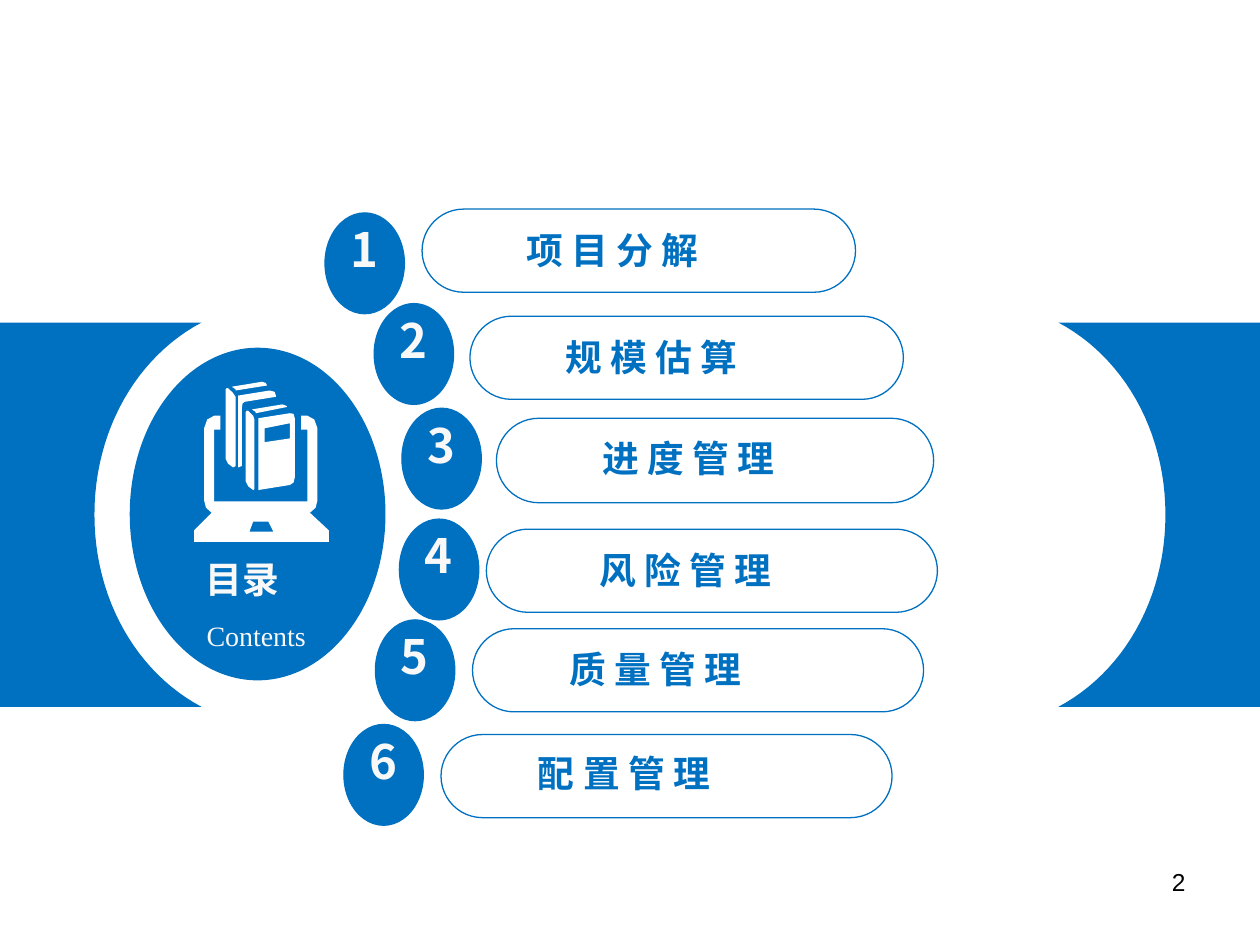
from dataclasses import dataclass

from lxml.etree import SubElement
from pptx import Presentation
from pptx.dml.color import RGBColor
from pptx.enum.shapes import MSO_SHAPE as Kind
from pptx.enum.text import MSO_ANCHOR as Anchor, MSO_AUTO_SIZE as Fit, PP_ALIGN as Align
from pptx.oxml.ns import qn
from pptx.util import Emu, Pt

BLUE = RGBColor(0x00, 0x70, 0xC0)
PALE = RGBColor(0xF8, 0xF8, 0xF8)
WHITE = RGBColor(0xFF, 0xFF, 0xFF)
BLACK = RGBColor(0x00, 0x00, 0x00)
HAN = "Noto Sans CJK SC"
COLS, ROWS = 1000, 750
CELL = 9144
STEPS = 24


@dataclass
class Box:
    left: float
    top: float
    width: float
    height: float

    def emus(self) -> list[Emu]:
        return [Emu(round(v * CELL)) for v in (self.left, self.top, self.width, self.height)]


@dataclass
class Item:
    text: str
    dot: tuple[float, float]
    pill: Box
    word: tuple[float, float]


ITEMS = [
    Item("项 目 分 解", (258, 169), Box(335, 166, 344, 66), (409, 177)),
    Item("规 模 估 算", (297, 241), Box(373, 251, 344, 66), (440, 262)),
    Item("进 度 管 理", (319, 324), Box(394, 332, 347, 67), (469, 342)),
    Item("风 险 管 理", (317, 412), Box(386, 420, 358, 66), (467, 431)),
    Item("质 量 管 理", (298, 492), Box(375, 499, 358, 66), (443, 509)),
    Item("配 置 管 理", (273, 575), Box(350, 583, 358, 66), (418, 592)),
]

ICON = [
    [(201, 414), (213, 414), (217, 422), (198, 422)],
    [(184, 307), (187, 309), (187, 310), (212, 306), (211, 304), (208, 303)],
    [(181, 308), (185, 312), (187, 315), (187, 370), (185, 371), (181, 368),
     (179, 364), (179, 309), (180, 308)],
    [(200, 325), (203, 327), (203, 328), (228, 323), (227, 322), (224, 321)],
    [(197, 326), (201, 330), (202, 333), (202, 388), (201, 389), (197, 386),
     (195, 382), (195, 327), (196, 326)],
    [(205, 332), (230, 328), (233, 328.5), (234, 332), (234, 379), (233, 383),
     (230, 385), (205, 389)],
    [(210, 340), (230, 336), (230, 348), (210, 351)],
    [(189, 314), (214, 310), (218, 311), (219, 314), (219, 315), (194, 319),
     (192.5, 320.5), (192, 324), (192, 370), (189, 371)],
    [(170, 341), (175, 341), (175, 330), (170, 330), (164.5, 333), (162, 340),
     (162, 397), (163.5, 403), (168, 407), (154, 421), (154, 430), (261, 430),
     (261, 421), (246, 407), (250.5, 403), (252, 397), (252, 340), (249.5, 333),
     (244, 330), (239, 330), (239, 341), (244, 341), (244, 398), (170, 398)],
]


def curve(*ends: tuple[float, float]) -> list[tuple[float, float]]:
    def blend(t: float, axis: int) -> float:
        a, b, c, d = (p[axis] for p in ends)
        s = 1 - t
        return a * s**3 + 3 * b * s * s * t + 3 * c * s * t * t + d * t**3

    return [(blend(n / STEPS, 0), blend(n / STEPS, 1)) for n in range(STEPS + 1)]


def paint(shape, fill: RGBColor | None, line: RGBColor | None) -> None:
    shape.shadow.inherit = False
    if fill is None:
        shape.fill.background()
    else:
        shape.fill.solid()
        shape.fill.fore_color.rgb = fill
    if line is None:
        shape.line.fill.background()
    else:
        shape.line.color.rgb = line
        shape.line.width = Pt(0.75)


def draw(slide, kind: Kind, box: Box, fill=None, line=None):
    shape = slide.shapes.add_shape(kind, *box.emus())
    paint(shape, fill, line)
    return shape


def trace(slide, paths: list, fill: RGBColor) -> None:
    first, *rest = [[(x * CELL, y * CELL) for x, y in path] for path in paths]
    pen = slide.shapes.build_freeform(*first[0], scale=1.0)
    pen.add_line_segments(first[1:], close=True)
    for path in rest:
        pen.move_to(*path[0])
        pen.add_line_segments(path[1:], close=True)
    paint(pen.convert_to_shape(), fill, None)


def write(slide, text: str, box: Box, *, size: float, color: RGBColor, font: str = HAN,
          bold: bool = False, align: Align = Align.LEFT, wrap: bool = False, shape=None) -> None:
    if shape is None:
        shape = slide.shapes.add_textbox(*box.emus())
    shape.left, shape.top, shape.width, shape.height = box.emus()
    frame = shape.text_frame
    frame.word_wrap = wrap
    frame.auto_size = Fit.NONE
    frame.vertical_anchor = Anchor.TOP
    frame.margin_left = frame.margin_right = Emu(9 * CELL)
    frame.margin_top = frame.margin_bottom = Emu(4 * CELL)
    para = frame.paragraphs[0]
    para.alignment = align
    run = para.add_run()
    run.text = text
    face = run.font
    face.size, face.bold, face.name = Pt(size), bold, font
    face.color.rgb = color
    SubElement(run.font._element, qn("a:ea")).set("typeface", font)


def main() -> None:
    deck = Presentation()
    deck.slide_width, deck.slide_height = Emu(COLS * CELL), Emu(ROWS * CELL)
    slide = deck.slides.add_slide(deck.slide_layouts[5])
    title = slide.shapes.title

    band = [(0, 561), (0, 256),
            *curve((160, 256), (109, 283), (75, 341), (75, 408.5)),
            *curve((75, 408.5), (75, 476), (109, 534), (160, 561))]
    trace(slide, [band], BLUE)
    trace(slide, [[(COLS - x, y) for x, y in band]], BLUE)

    draw(slide, Kind.OVAL, Box(103, 276, 203, 264), fill=BLUE)
    trace(slide, ICON, WHITE)
    slide.shapes._spTree.append(title._element)
    write(slide, "目录", Box(154, 438, 100, 44), size=21, color=PALE, bold=True, shape=title)
    write(slide, "Contents", Box(155, 487, 97, 36), size=16, color=PALE, font="Times New Roman")

    for rank, item in enumerate(ITEMS, 1):
        x, y = item.dot
        draw(slide, Kind.OVAL, Box(x, y, 63, 80), fill=BLUE, line=BLUE)
        pill = draw(slide, Kind.ROUNDED_RECTANGLE, item.pill, line=BLUE)
        pill.adjustments[0] = 0.5
        write(slide, str(rank), Box(x + 11, y + 2, 41, 54), size=27, color=PALE, bold=True)
        write(slide, item.text, Box(*item.word, 160, 44), size=21, color=BLUE, bold=True)

    write(slide, "2", Box(717, 684, 233, 52), size=14, color=BLACK, font="Arial",
          align=Align.RIGHT, wrap=True)
    deck.save("out.pptx")


if __name__ == "__main__":
    main()
